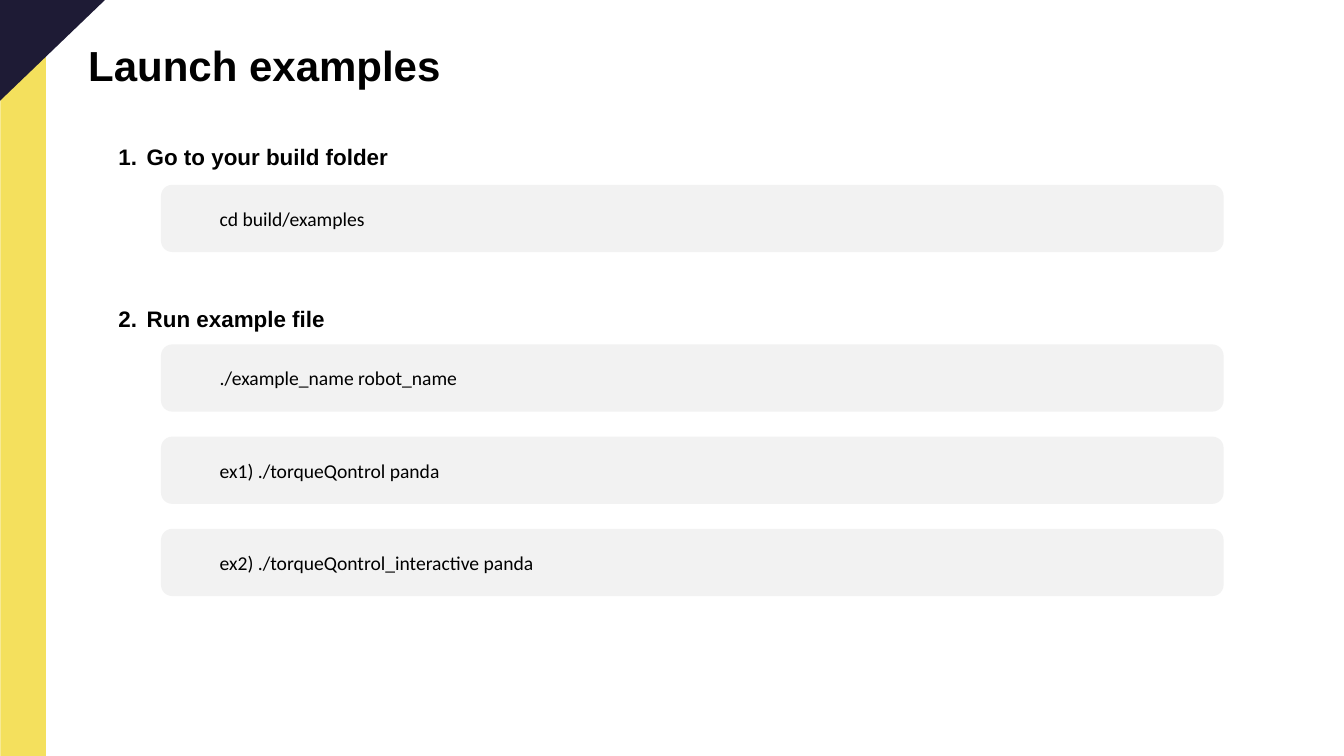
from pptx import Presentation
from pptx.dml.color import RGBColor
from pptx.enum.shapes import MSO_SHAPE
from pptx.enum.text import MSO_ANCHOR, PP_ALIGN
from pptx.oxml.ns import qn
from pptx.util import Pt
from lxml import etree

RECTANGLE = MSO_SHAPE.RECTANGLE
ROUNDED = MSO_SHAPE.ROUNDED_RECTANGLE
TRIANGLE = MSO_SHAPE.RIGHT_TRIANGLE
MIDDLE = MSO_ANCHOR.MIDDLE
LEFT = PP_ALIGN.LEFT

PAGE_WIDTH, PAGE_HEIGHT = 1920, 1080
YELLOW, NAVY, GREY, BLACK = "F4E05D", "1E1B35", "F2F2F2", "000000"
CODE_HEIGHT, CODE_PITCH = 96, 131.75
STEP_PITCH = 230
LINE_HEIGHT = 55.2  # 32 pt Arial at 1.5 line spacing
STEPS = [
    ("Go to your build folder", 264, ["cd build/examples"]),
    ("Run example file", 492, [
        "./example_name robot_name",
        "ex1) ./torqueQontrol panda",
        "ex2) ./torqueQontrol_interactive panda",
    ]),
]


def color(value):
    return RGBColor.from_string(value)


def set_font(para, name, size, bold=False):
    font = para.font
    font.name, font.size, font.bold = name, Pt(size), bold
    font.color.rgb = color(BLACK)


def add_filled(page, kind, left, top, width, height, fill):
    shape = page.shapes.add_shape(kind, Pt(left), Pt(top), Pt(width), Pt(height))
    shape.shadow.inherit = False
    shape.fill.solid()
    shape.fill.fore_color.rgb = color(fill)
    shape.line.fill.background()
    return shape


def add_text_frame(page, left, top, width, height):
    box = page.shapes.add_textbox(Pt(left), Pt(top), Pt(width), Pt(height))
    box.text_frame.word_wrap = True
    return box.text_frame


def add_side_decoration(page):
    add_filled(page, RECTANGLE, 0.5, 0, 65, PAGE_HEIGHT, YELLOW)
    corner = add_filled(page, TRIANGLE, 0, 0, 150, 144, NAVY)
    corner.element.spPr.xfrm.set("flipV", "1")


def add_title(page, left, top, width, height, text):
    frame = add_text_frame(page, left, top, width, height)
    frame.margin_left = frame.margin_right = frame.margin_bottom = 0
    frame.margin_top = Pt(8)
    para = frame.paragraphs[0]
    para.text = text
    set_font(para, "Arial", 60, bold=True)


def add_step_headings(page, left, top, width, height, headings):
    """Numbered headings in one box, STEP_PITCH apart."""
    frame = add_text_frame(page, left, top, width, height)
    frame.margin_top = Pt(8)
    for index, heading in enumerate(headings):
        para = frame.add_paragraph() if index else frame.paragraphs[0]
        para.text = heading
        para.line_spacing = 1.5
        if index:
            para.space_before = Pt(STEP_PITCH - LINE_HEIGHT)
        properties = para._p.get_or_add_pPr()
        properties.set("marL", str(Pt(76.5)))
        properties.set("indent", str(Pt(-40.5)))
        etree.SubElement(properties, qn("a:buFont"), typeface="+mj-lt")
        etree.SubElement(properties, qn("a:buAutoNum"), type="arabicPeriod")
        set_font(para, "Arial", 32, bold=True)


def add_code_boxes(page, left, top, width, commands):
    for index, command in enumerate(commands):
        box = add_filled(page, ROUNDED, left, top + index * CODE_PITCH,
                         width, CODE_HEIGHT, GREY)
        frame = box.text_frame
        frame.word_wrap = True
        frame.margin_left = Pt(79.2)
        frame.vertical_anchor = MIDDLE
        para = frame.paragraphs[0]
        para.text = command
        para.alignment = LEFT
        set_font(para, "Calibri", 28)


def main():
    deck = Presentation()
    deck.slide_width, deck.slide_height = Pt(PAGE_WIDTH), Pt(PAGE_HEIGHT)
    page = deck.slides.add_slide(deck.slide_layouts[6])
    add_side_decoration(page)
    add_title(page, 126, 48, 863, 78, "Launch examples")
    add_step_headings(page, 126, 177, 1698, 291, [step[0] for step in STEPS])
    for _, top, commands in STEPS:
        add_code_boxes(page, 230, top, 1518, commands)
    deck.save("out.pptx")


if __name__ == "__main__":
    main()
